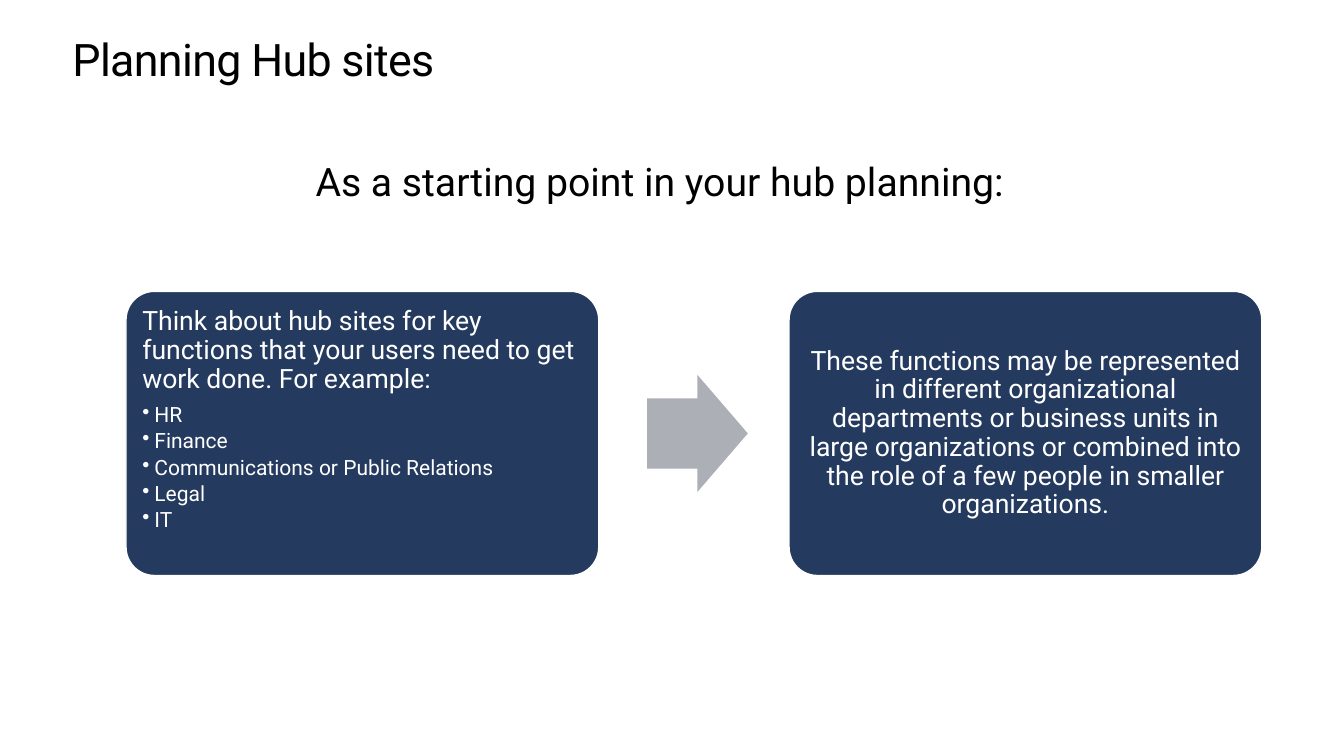
from dataclasses import dataclass

from lxml.etree import SubElement
from pptx import Presentation
from pptx.dml.color import RGBColor
from pptx.enum.shapes import MSO_SHAPE as Shape
from pptx.enum.text import MSO_ANCHOR as Anchor, PP_ALIGN as Align
from pptx.oxml.ns import qn
from pptx.util import Pt

FONT = "Roboto"
BLACK, WHITE, NAVY, GREY = "000000", "FFFFFF", "243A5E", "ACAFB6"
CARD_TOP, CARD_W, CARD_H = 208.1, 337.7, 203
ARROW_W, ARROW_H = 72, 83.6
BULLET_INDENT = 8.64


@dataclass
class Card:
    left: float
    text: str
    bullets: tuple[str, ...] = ()
    align: Align = Align.LEFT
    anchor: Anchor = Anchor.TOP


CARDS = [
    Card(90, "Think about hub sites for key functions that your users need to "
             "get work done. For example:",
         ("HR", "Finance", "Communications or Public Relations", "Legal", "IT")),
    Card(563.6, "These functions may be represented in different organizational "
                "departments or business units in large organizations or combined "
                "into the role of a few people in smaller organizations.",
         align=Align.CENTER, anchor=Anchor.MIDDLE),
]


def rgb(value: str) -> RGBColor:
    return RGBColor.from_string(value)


def setup_frame(tf, inset: float, anchor: Anchor = Anchor.TOP) -> None:
    tf.word_wrap = True
    tf.vertical_anchor = anchor
    tf.margin_left = tf.margin_right = tf.margin_top = tf.margin_bottom = Pt(inset)


def write(p, text: str, *, size: float, color: str, align: Align = Align.LEFT,
          line=None, after: float = 0, tracking: float = 0, bullet: bool = False) -> None:
    """Fill one paragraph; tracking is the letter spacing in points."""
    if bullet:
        pPr = p._p.get_or_add_pPr()
        pPr.set("marL", str(Pt(BULLET_INDENT)))
        pPr.set("indent", str(-Pt(BULLET_INDENT)))
        SubElement(pPr, qn("a:buChar")).set("char", "•")
    p.alignment = align
    p.space_before, p.space_after = Pt(0), Pt(after)
    if line:
        p.line_spacing = line
    r = p.add_run()
    r.text = text
    r.font.name, r.font.size = FONT, Pt(size)
    r.font.color.rgb = rgb(color)
    if tracking:
        r._r.get_or_add_rPr().set("spc", str(round(tracking * 100)))


def add_label(slide, text: str, left: float, top: float, width: float,
              height: float, **style) -> None:
    tf = slide.shapes.add_textbox(Pt(left), Pt(top), Pt(width), Pt(height)).text_frame
    setup_frame(tf, 0)
    write(tf.paragraphs[0], text, color=BLACK, **style)


def add_block(slide, kind: Shape, left: float, top: float, width: float,
              height: float, fill: str, adjustments: tuple[float, ...]):
    """Add a filled preset shape without outline or shadow."""
    sp = slide.shapes.add_shape(kind, Pt(left), Pt(top), Pt(width), Pt(height))
    sp.shadow.inherit = False
    sp.fill.solid()
    sp.fill.fore_color.rgb = rgb(fill)
    sp.line.fill.background()
    for i, value in enumerate(adjustments):
        sp.adjustments[i] = value
    return sp


def add_card(slide, card: Card) -> None:
    sp = add_block(slide, Shape.ROUNDED_RECTANGLE, card.left, CARD_TOP,
                   CARD_W, CARD_H, NAVY, (0.1,))
    sp.line.color.rgb = rgb(WHITE)
    sp.line.width = Pt(1)
    tf = sp.text_frame
    setup_frame(tf, 5.76, card.anchor)
    write(tf.paragraphs[0], card.text, size=19, color=WHITE, align=card.align,
          line=0.9, after=7.5 if card.bullets else 0)
    for item in card.bullets:
        write(tf.add_paragraph(), item, size=15, color=WHITE, line=0.9,
              after=2.6, bullet=True)


def main() -> None:
    prs = Presentation()
    prs.slide_width, prs.slide_height = Pt(960), Pt(540)
    slide = prs.slides.add_slide(prs.slide_layouts[6])

    add_label(slide, "Planning Hub sites", 51.8, 25.2, 856.8, 36,
              size=32, line=Pt(36.2), tracking=-0.5)
    add_label(slide, "As a starting point in your hub planning:",
              225.4, 112.3, 509, 36, size=28)
    for card in CARDS:
        add_card(slide, card)
    add_block(slide, Shape.RIGHT_ARROW, 462.2, CARD_TOP + (CARD_H - ARROW_H) / 2,
              ARROW_W, ARROW_H, GREY, (0.6, 0.5))

    prs.save("out.pptx")


if __name__ == "__main__":
    main()
